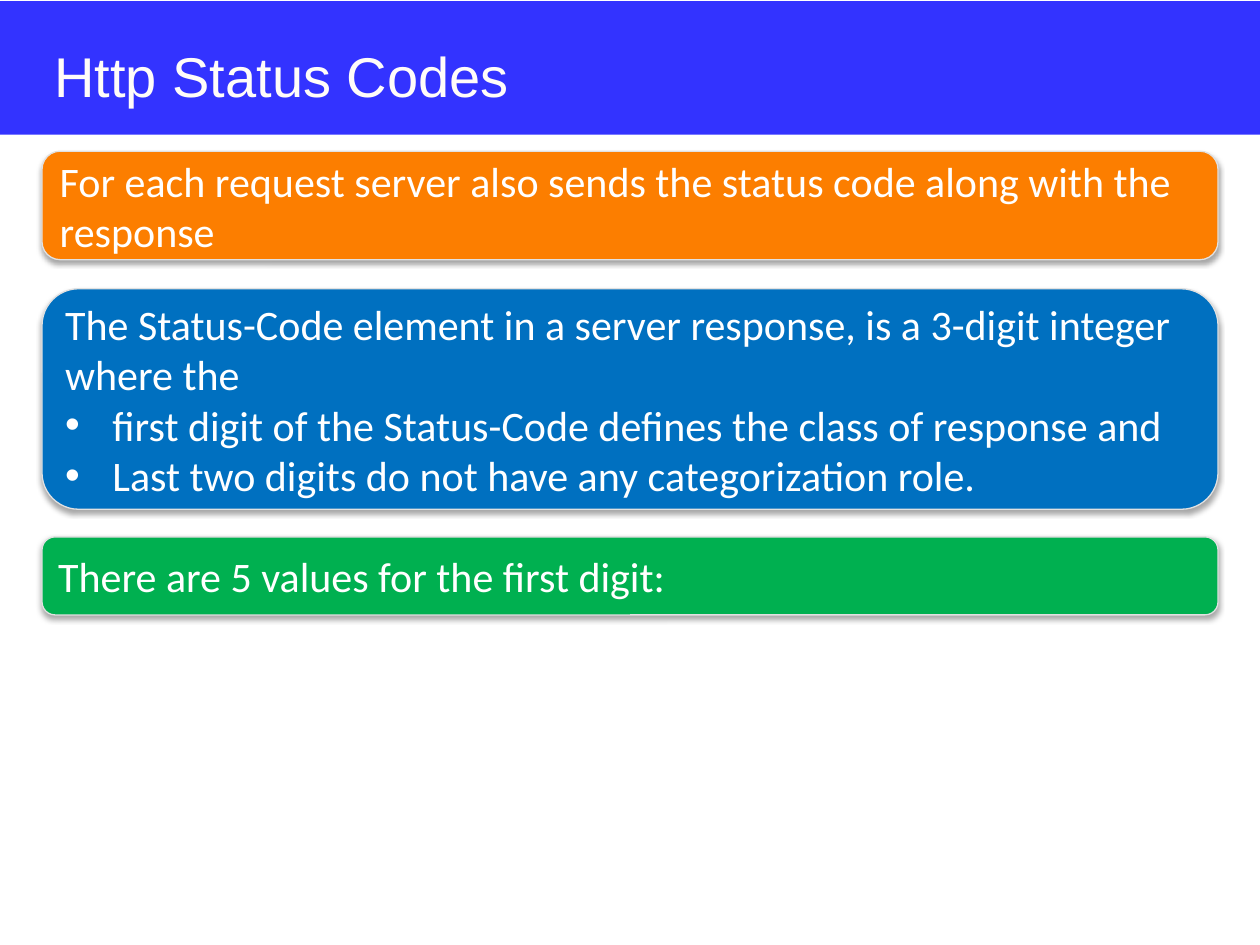
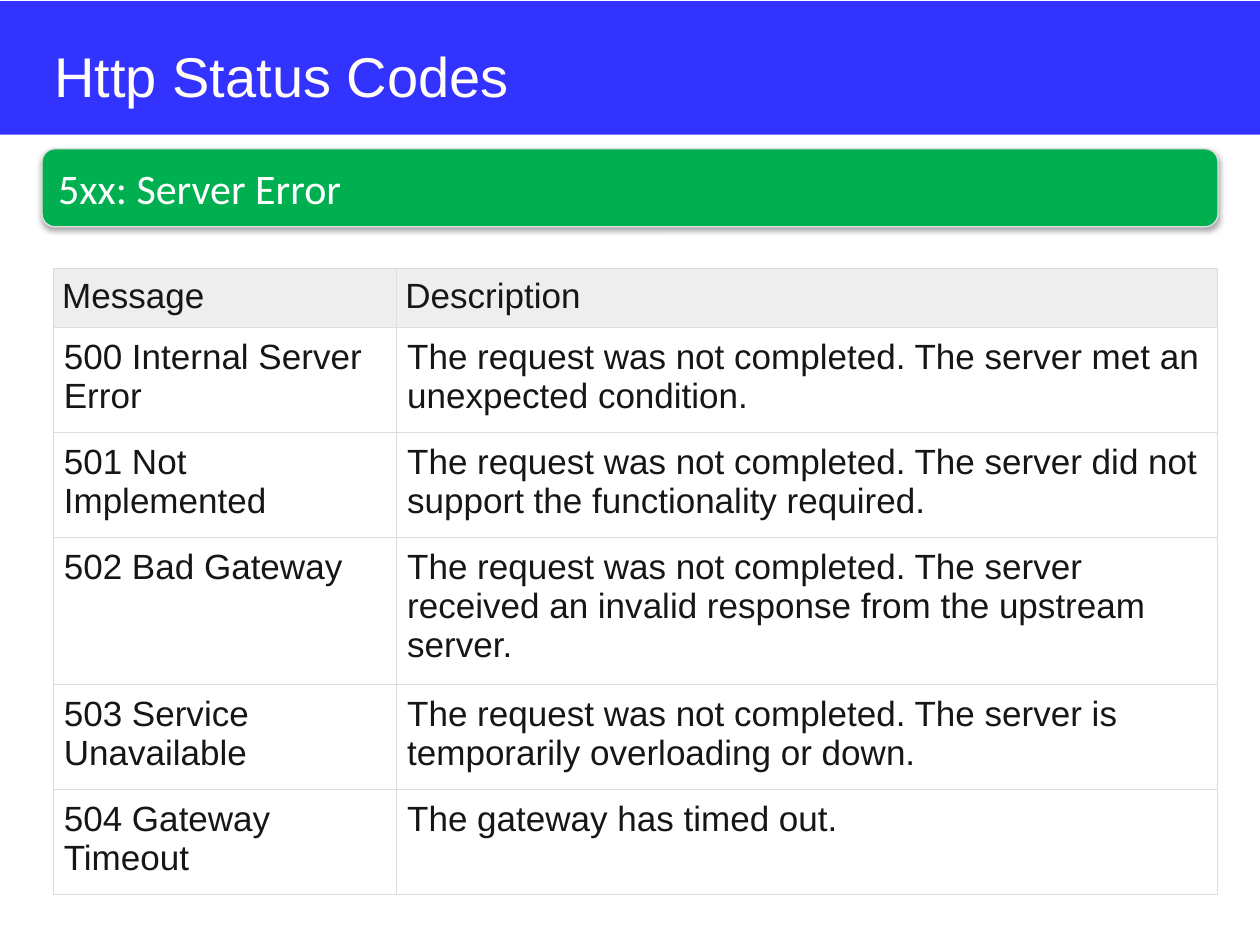
from dataclasses import dataclass

from lxml.etree import SubElement
from pptx import Presentation
from pptx.dml.color import RGBColor
from pptx.enum.shapes import MSO_SHAPE
from pptx.enum.text import MSO_ANCHOR, PP_ALIGN
from pptx.oxml.ns import qn
from pptx.slide import Slide
from pptx.table import _Cell
from pptx.text.text import TextFrame, _Paragraph
from pptx.util import Pt

COLORS = {
    "band": "3333FF",
    "title": "FFFCF9",
    "white": "FFFFFF",
    "orange": "FC7E00",
    "blue": "0070C0",
    "green": "00B050",
    "outline": "E1E1E1",
    "shadow": "000000",
    "header": "EEEEEE",
    "border": "DDDDDD",
    "ink": "151616",
}
SLIDE_W, SLIDE_H = 720, 540
MARGIN = 24
CONTENT_W = SLIDE_W - 2 * MARGIN
BULLET_INDENT = 27


@dataclass(frozen=True)
class Panel:
    top: float
    height: float
    color: str
    lines: tuple[str, ...]
    bullets: tuple[str, ...] = ()


@dataclass(frozen=True)
class StatusRow:
    message: str
    description: str


STATUS_PANELS = (
    Panel(165, 126, "blue",
          ("The Status-Code element in a server response, is a 3-digit integer where the",),
          ("first digit of the Status-Code defines the class of response and",
           "Last two digits do not have any categorization role.")),
    Panel(306.8, 44.6, "green", ("There are 5 values for the first digit:",)),
    Panel(86.4, 62, "orange",
          ("For each request server also sends the status code along with the response",)),
)
ERROR_PANEL = Panel(85, 44.6, "green", ("5xx: Server Error",))
HEADER = StatusRow("Message", "Description")
SERVER_ERRORS = (
    StatusRow("500 Internal Server Error",
              "The request was not completed. The server met an unexpected condition."),
    StatusRow("501 Not Implemented",
              "The request was not completed. The server did not support the functionality required."),
    StatusRow("502 Bad Gateway",
              "The request was not completed. The server received an invalid response "
              "from the upstream server."),
    StatusRow("503 Service Unavailable",
              "The request was not completed. The server is temporarily overloading or down."),
    StatusRow("504 Gateway Timeout", "The gateway has timed out."),
)


def rgb(name: str) -> RGBColor:
    return RGBColor.from_string(COLORS[name])


def format_text(tf: TextFrame, font: str, size: float, color: str) -> None:
    for p in tf.paragraphs:
        p.alignment = PP_ALIGN.LEFT
        for r in p.runs:
            r.font.name = font
            r.font.size = Pt(size)
            r.font.color.rgb = rgb(color)


def add_bullet(p: _Paragraph) -> None:
    pPr = p._p.get_or_add_pPr()
    pPr.set("marL", str(Pt(BULLET_INDENT)))
    pPr.set("indent", str(Pt(-BULLET_INDENT)))
    SubElement(pPr, qn("a:buFont")).set("typeface", "Arial")
    SubElement(pPr, qn("a:buChar")).set("char", "•")


def add_shadow(sp) -> None:
    sp.shadow.inherit = False
    effects = sp._element.spPr.find(qn("a:effectLst"))
    shadow = SubElement(effects, qn("a:outerShdw"), blurRad=str(Pt(3.1)),
                        dist=str(Pt(1.8)), dir="5400000", rotWithShape="0")
    color = SubElement(shadow, qn("a:srgbClr"), val=COLORS["shadow"])
    SubElement(color, qn("a:alpha"), val="35000")


def add_titled_slide(prs: Presentation, title: str) -> Slide:
    s = prs.slides.add_slide(prs.slide_layouts[6])
    band = s.shapes.add_shape(MSO_SHAPE.RECTANGLE, Pt(0), Pt(0.7), Pt(SLIDE_W), Pt(76.3))
    band.shadow.inherit = False
    band.fill.solid()
    band.fill.fore_color.rgb = rgb("band")
    band.line.fill.background()
    box = s.shapes.add_textbox(Pt(MARGIN), Pt(20.2), Pt(CONTENT_W), Pt(44.6))
    tf = box.text_frame
    tf.word_wrap = True
    tf.text = title
    format_text(tf, "Arial", 32, "title")
    return s


def add_panel(s: Slide, panel: Panel) -> None:
    sp = s.shapes.add_shape(MSO_SHAPE.ROUNDED_RECTANGLE, Pt(MARGIN), Pt(panel.top),
                            Pt(CONTENT_W), Pt(panel.height))
    sp.fill.solid()
    sp.fill.fore_color.rgb = rgb(panel.color)
    sp.line.color.rgb = rgb("outline")
    sp.line.width = Pt(0.75)
    add_shadow(sp)
    tf = sp.text_frame
    tf.word_wrap = True
    tf.vertical_anchor = MSO_ANCHOR.MIDDLE
    tf.text = "\n".join(panel.lines + panel.bullets)
    format_text(tf, "Calibri", 24, "white")
    for p in tf.paragraphs[len(panel.lines):]:
        add_bullet(p)


def add_borders(cell: _Cell) -> None:
    tcPr = cell._tc.get_or_add_tcPr()
    for side in ("L", "R", "T", "B"):
        line = SubElement(tcPr, qn(f"a:ln{side}"), w=str(Pt(0.75)))
        fill = SubElement(line, qn("a:solidFill"))
        SubElement(fill, qn("a:srgbClr"), val=COLORS["border"])


def fill_cell(cell: _Cell, text: str, is_header: bool) -> None:
    add_borders(cell)
    if is_header:
        cell.fill.solid()
        cell.fill.fore_color.rgb = rgb("header")
    else:
        cell.fill.background()
    inset = Pt(5 if is_header else 6)
    cell.margin_left = cell.margin_right = inset
    cell.margin_top = cell.margin_bottom = inset
    cell.text_frame.text = text
    format_text(cell.text_frame, "Arial", 20, "ink")


def add_status_table(s: Slide, rows: tuple[StatusRow, ...]) -> None:
    widths = (196.2, 469.2)
    frame = s.shapes.add_table(len(rows) + 1, len(widths), Pt(30.5), Pt(153.2),
                               Pt(sum(widths)), Pt(204.5))
    table = frame.table
    table.first_row = False
    table.horz_banding = False
    for column, width in zip(table.columns, widths):
        column.width = Pt(width)
    for i, status in enumerate((HEADER, *rows)):
        table.rows[i].height = Pt(36 if i else 24.5)
        for j, text in enumerate((status.message, status.description)):
            fill_cell(table.cell(i, j), text, i == 0)


def main() -> None:
    prs = Presentation()
    prs.slide_width, prs.slide_height = Pt(SLIDE_W), Pt(SLIDE_H)

    s = add_titled_slide(prs, "Http Status Codes")
    for panel in STATUS_PANELS:
        add_panel(s, panel)

    s = add_titled_slide(prs, "Http Status Codes")
    add_panel(s, ERROR_PANEL)
    add_status_table(s, SERVER_ERRORS)

    prs.save("out.pptx")


if __name__ == "__main__":
    main()
